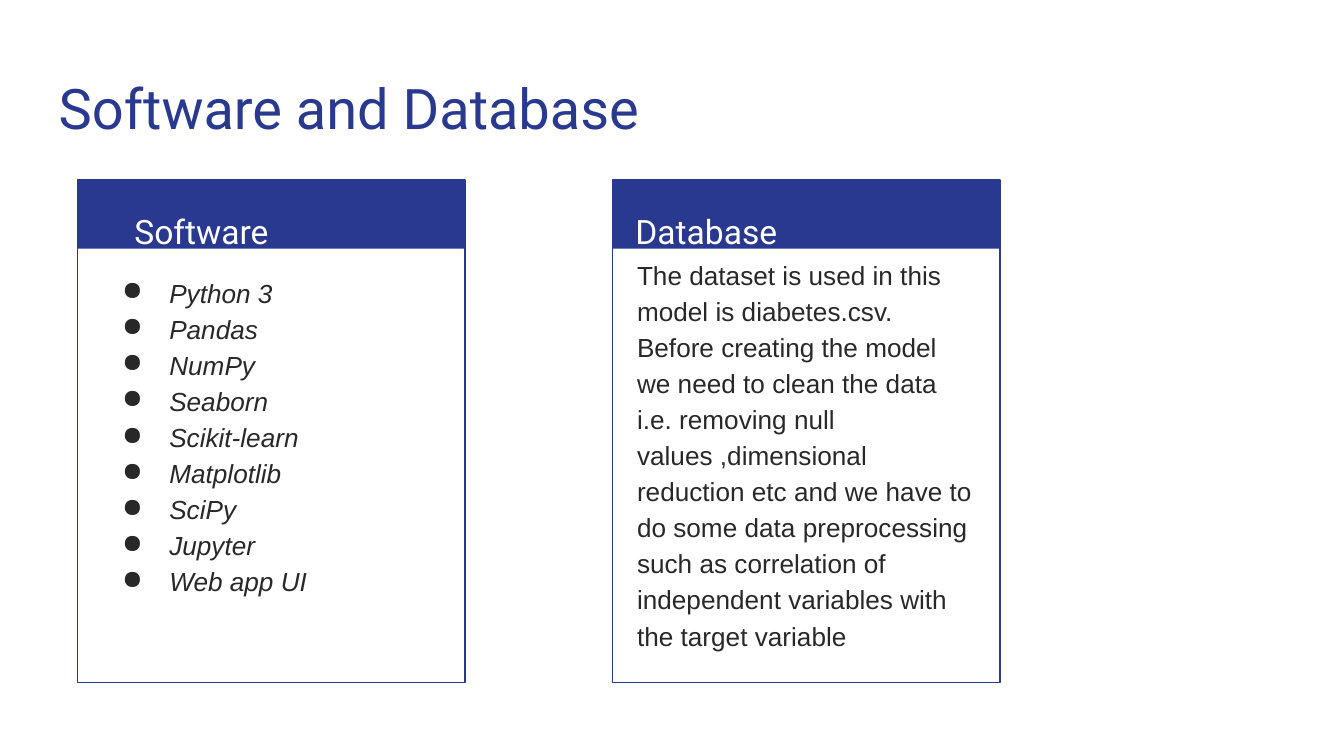
from lxml import etree
from pptx import Presentation
from pptx import util as u
from pptx.dml.color import RGBColor
from pptx.enum import shapes, text
from pptx.oxml.ns import qn

NAVY = RGBColor(0x2A, 0x39, 0x90)
INK = RGBColor(0x28, 0x28, 0x28)
WHITE = RGBColor(0xFF, 0xFF, 0xFF)

CARD_TOP, CARD_WIDTH, CARD_HEIGHT, HEADER_HEIGHT = 3.4, 7.32, 9.5, 1.3
LIBRARIES = ["Python 3", "Pandas", "NumPy", "Seaborn", "Scikit-learn",
             "Matplotlib", "SciPy", "Jupyter", "Web app UI"]
DATASET = (
    "The dataset is used in this model is diabetes.csv. Before creating the "
    "model we need to clean the data i.e. removing null values ,dimensional "
    "reduction etc and we have to do some data preprocessing such as "
    "correlation of independent variables with the target variable"
)


def write(paragraph, words, *, font, size, color, italic=False, spacing=1.0,
          before=0, bullet=None):
    """Add formatted words to a paragraph, with a hanging bullet if given."""
    run = paragraph.add_run()
    run.text = words
    run.font.name = font
    run.font.size = u.Pt(size)
    run.font.color.rgb = color
    run.font.italic = italic
    paragraph.line_spacing = spacing
    paragraph.space_before = u.Pt(before)
    if bullet:
        properties = paragraph._p.get_or_add_pPr()
        properties.set("marL", str(u.Cm(1.27)))
        properties.set("indent", str(u.Cm(-0.89)))
        bullet_color = etree.SubElement(properties, qn("a:buClr"))
        etree.SubElement(bullet_color, qn("a:srgbClr"), val=str(color))
        etree.SubElement(properties, qn("a:buChar"), char=bullet)


class Deck:
    heading_font = "Roboto"
    body_font = "Arial"
    accent = NAVY
    inset = u.Cm(0.25)

    def __init__(self, slide):
        self.slide = slide

    def rectangle(self, left, top, width, height, fill=None, line=None):
        box = self.slide.shapes.add_shape(
            shapes.MSO_SHAPE.RECTANGLE, *map(u.Cm, (left, top, width, height)))
        box.shadow.inherit = False
        if fill is None:
            box.fill.background()
        else:
            box.fill.solid()
            box.fill.fore_color.rgb = fill
        if line is None:
            box.line.fill.background()
        else:
            box.line.color.rgb = line
            box.line.width = u.Pt(0.75)

    def text(self, left, top, width, height, paragraphs, **style):
        frame = self.slide.shapes.add_textbox(
            *map(u.Cm, (left, top, width, height))).text_frame
        frame.word_wrap = True
        frame.vertical_anchor = text.MSO_ANCHOR.TOP
        frame.margin_left = frame.margin_right = self.inset
        frame.margin_top = frame.margin_bottom = self.inset
        for index, words in enumerate(paragraphs):
            paragraph = frame.add_paragraph() if index else frame.paragraphs[0]
            write(paragraph, words, **style)

    def title(self, words):
        self.text(0.86, 1.14, 23.67, 1.68, [words],
                  font=self.heading_font, size=30, color=self.accent)

    def card(self, left, heading, heading_left):
        self.rectangle(left, CARD_TOP, CARD_WIDTH, HEADER_HEIGHT, fill=self.accent)
        self.rectangle(left, CARD_TOP, CARD_WIDTH, CARD_HEIGHT, line=self.accent)
        self.text(heading_left, 3.63, 6.93, 1.27, [heading],
                  font=self.heading_font, size=18, color=WHITE, spacing=1.15)

    def body(self, left, top, height, paragraphs, **style):
        self.text(left, top, 6.88, height, paragraphs, font=self.body_font,
                  size=14, color=INK, spacing=1.15, **style)


def main():
    presentation = Presentation()
    presentation.slide_width = u.Cm(25.4)
    presentation.slide_height = u.Cm(14.29)
    deck = Deck(presentation.slides.add_slide(presentation.slide_layouts[6]))

    deck.title("Software and Database")
    deck.card(1.47, "Software", heading_left=2.29)
    deck.body(1.68, 4.9, 7.98, LIBRARIES, italic=True, bullet="●")
    deck.card(11.58, "Database", heading_left=11.76)
    deck.body(11.79, 4.57, 7.77, [DATASET], before=17)

    presentation.save("out.pptx")


if __name__ == "__main__":
    main()
